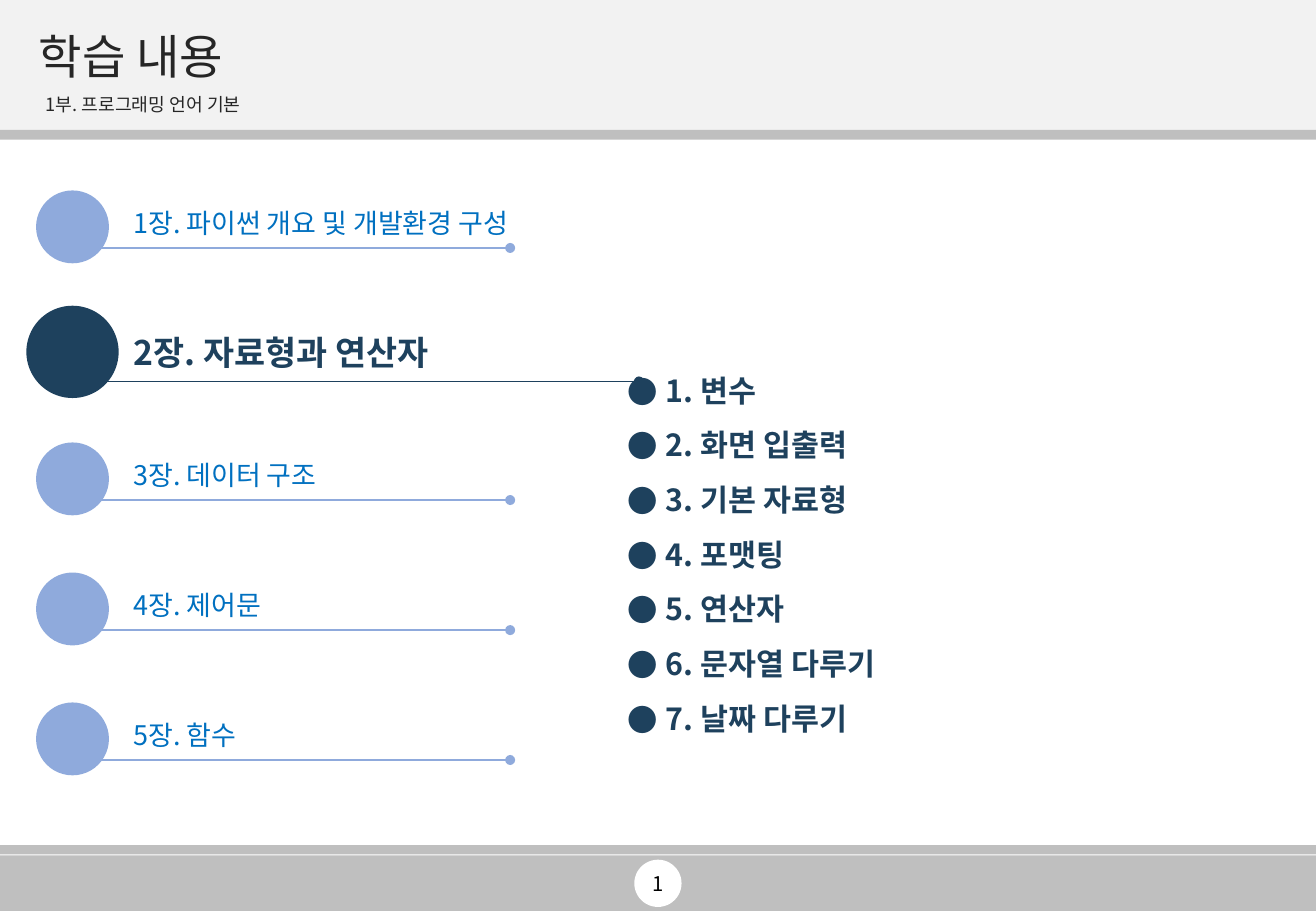
from dataclasses import dataclass

from lxml import etree
from pptx import Presentation
from pptx.dml.color import RGBColor
from pptx.enum.shapes import MSO_CONNECTOR, MSO_SHAPE
from pptx.enum.text import MSO_ANCHOR, MSO_AUTO_SIZE, PP_ALIGN
from pptx.oxml.ns import qn
from pptx.util import Pt

RECTANGLE, OVAL = MSO_SHAPE.RECTANGLE, MSO_SHAPE.OVAL
LEFT, CENTER = PP_ALIGN.LEFT, PP_ALIGN.CENTER
TOP, MIDDLE = MSO_ANCHOR.TOP, MSO_ANCHOR.MIDDLE

# Content
TITLE = "학습 내용"
SUBTITLE = "1부. 프로그래밍 언어 기본"
PAGE_NUMBER = "1"
CURRENT_CHAPTER = 2
CHAPTERS = [  # heading, centre of its circle
    ("1장. 파이썬 개요 및 개발환경 구성", 134.5),
    ("2장. 자료형과 연산자", 208.6),
    ("3장. 데이터 구조", 283.9),
    ("4장. 제어문", 361),
    ("5장. 함수", 438),
]
TOPICS = [
    "1. 변수",
    "2. 화면 입출력",
    "3. 기본 자료형",
    "4. 포맷팅",
    "5. 연산자",
    "6. 문자열 다루기",
    "7. 날짜 다루기",
]


@dataclass(frozen=True)
class Theme:
    font: str = "Noto Sans CJK KR"
    band: str = "F2F2F2"
    bar: str = "BFBFBF"
    white: str = "FFFFFF"
    black: str = "000000"
    heading: str = "262626"
    chapter: str = "0070C0"
    marker: str = "8FAADC"
    current: str = "1E415D"
    title_size: float = 28
    subtitle_size: float = 10.8
    chapter_size: float = 16
    current_size: float = 20
    topic_size: float = 18
    number_size: float = 12


@dataclass(frozen=True)
class ChapterStyle:
    marker: str
    text: str
    size: float
    bold: bool
    diameter: float
    line_drop: float
    line_end: float
    text_width: float


THEME = Theme()
NORMAL = ChapterStyle(THEME.marker, THEME.chapter, THEME.chapter_size, False,
                      43.2, 12.5, 302.4, 255.6)
CURRENT = ChapterStyle(THEME.current, THEME.current, THEME.current_size, True,
                       54.7, 17.5, 378.7, 332.6)

WIDTH, HEIGHT = 780, 540
MARKER_X, LINE_START, CHAPTER_X, TEXT_RISE = 43, 56.9, 72, 15.6
TOPIC_INDENT = 22.5


def add_filled(page, kind, left, top, width, height, color):
    shape = page.shapes.add_shape(kind, Pt(left), Pt(top), Pt(width), Pt(height))
    shape.shadow.inherit = False
    shape.fill.solid()
    shape.fill.fore_color.rgb = RGBColor.from_string(color)
    shape.line.fill.background()


def add_circle(page, center_x, center_y, diameter, color):
    add_filled(page, OVAL, center_x - diameter / 2, center_y - diameter / 2,
               diameter, diameter, color)


def add_dotted_end_line(page, end_x, y, color):
    line = page.shapes.add_connector(MSO_CONNECTOR.STRAIGHT, Pt(LINE_START), Pt(y),
                                     Pt(end_x), Pt(y))
    line.line.color.rgb = RGBColor.from_string(color)
    line.line.width = Pt(1)
    outline = line.line._get_or_add_ln()
    etree.SubElement(outline, qn("a:tailEnd"), type="oval")
    etree.SubElement(line.element.spPr, qn("a:effectLst"))


def set_bullet(para, char=None, indent=0):
    props = para._p.get_or_add_pPr()
    props.set("marL", str(Pt(indent)))
    props.set("indent", str(-Pt(indent)))
    if char:
        etree.SubElement(props, qn("a:buFont"), typeface=THEME.font)
        etree.SubElement(props, qn("a:buChar"), char=char)
    else:
        etree.SubElement(props, qn("a:buNone"))


def style_para(para, size, color, bold=False, align=LEFT, spacing=1.0, before=0):
    para.alignment = align
    para.line_spacing = spacing
    para.space_before = Pt(before)
    font = para.font
    font.name, font.size, font.bold = THEME.font, Pt(size), bold
    font.color.rgb = RGBColor.from_string(color)
    # Hangul takes its typeface from the East Asian slot
    etree.SubElement(para._p.pPr.find(qn("a:defRPr")), qn("a:ea"), typeface=THEME.font)


def prepare_frame(box, text, anchor):
    frame = box.text_frame
    frame.text = text
    frame.word_wrap = True
    frame.auto_size = MSO_AUTO_SIZE.NONE
    frame.vertical_anchor = anchor
    return frame


def add_text(page, text, left, top, width, height, anchor=TOP, **style):
    box = page.shapes.add_textbox(Pt(left), Pt(top), Pt(width), Pt(height))
    style_para(prepare_frame(box, text, anchor).paragraphs[0], **style)


def fill_placeholder(holder, text, left, top, width, height, anchor):
    holder.left, holder.top = Pt(left), Pt(top)
    holder.width, holder.height = Pt(width), Pt(height)
    holder.element.getparent().append(holder.element)  # in front of the bands
    return prepare_frame(holder, text, anchor)


def add_chapter(page, heading, center_y, style):
    add_circle(page, MARKER_X, center_y, style.diameter, style.marker)
    add_dotted_end_line(page, style.line_end, center_y + style.line_drop, style.marker)
    add_text(page, heading, CHAPTER_X, center_y - TEXT_RISE, style.text_width,
             style.size * 1.65, size=style.size, color=style.text, bold=style.bold)


def main():
    deck = Presentation()
    deck.slide_width, deck.slide_height = Pt(WIDTH), Pt(HEIGHT)
    page = deck.slides.add_slide(deck.slide_layouts[3])
    title, subtitle, topics = list(page.placeholders)[:3]

    # Header and footer bands
    for top, height, color in [(507, 33, THEME.bar), (501, 5.5, THEME.bar),
                               (0, 77, THEME.band), (77, 5.8, THEME.bar)]:
        add_filled(page, RECTANGLE, 0, top, WIDTH, height, color)
    add_circle(page, WIDTH / 2, 523.6, 28, THEME.white)
    add_text(page, PAGE_NUMBER, 302.2, 509.6, 175.6, 28, anchor=MIDDLE,
             size=THEME.number_size, color=THEME.black, align=CENTER)

    # Title and subtitle
    frame = fill_placeholder(title, TITLE, 15.8, 15, 748, 39.6, MIDDLE)
    style_para(frame.paragraphs[0], THEME.title_size, THEME.heading, spacing=0.9)
    frame = fill_placeholder(subtitle, SUBTITLE, 21.4, 54.7, 743, 17.3, MIDDLE)
    frame.margin_left = Pt(5.7)
    set_bullet(frame.paragraphs[0])
    style_para(frame.paragraphs[0], THEME.subtitle_size, THEME.heading,
               spacing=0.7, before=8.1)

    # Chapters
    for number, (heading, center_y) in enumerate(CHAPTERS, start=1):
        style = CURRENT if number == CURRENT_CHAPTER else NORMAL
        add_chapter(page, heading, center_y, style)

    # Topics of the current chapter
    frame = fill_placeholder(topics, "\n".join(TOPICS), 365, 206, 387.4, 236, TOP)
    for para in frame.paragraphs:
        set_bullet(para, "●", TOPIC_INDENT)
        style_para(para, THEME.topic_size, THEME.current, bold=True, spacing=1.5)

    deck.save("out.pptx")


if __name__ == "__main__":
    main()
